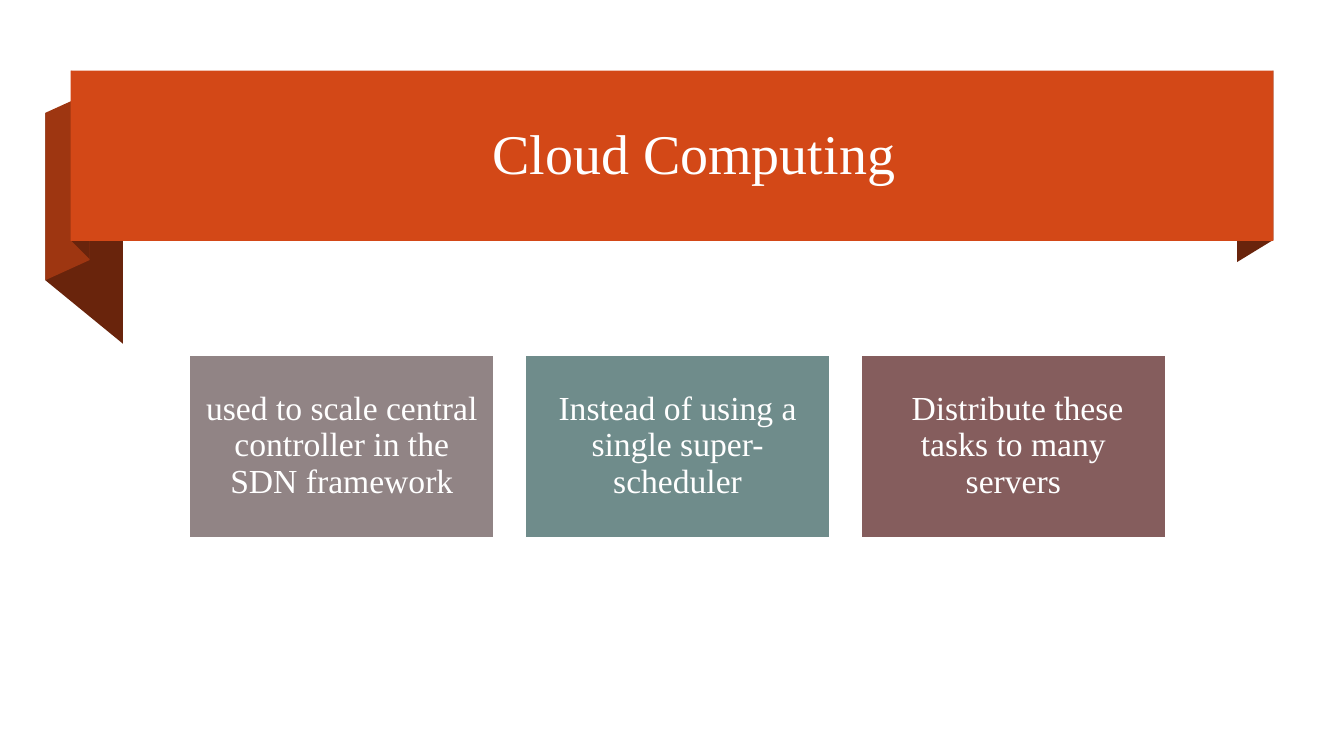
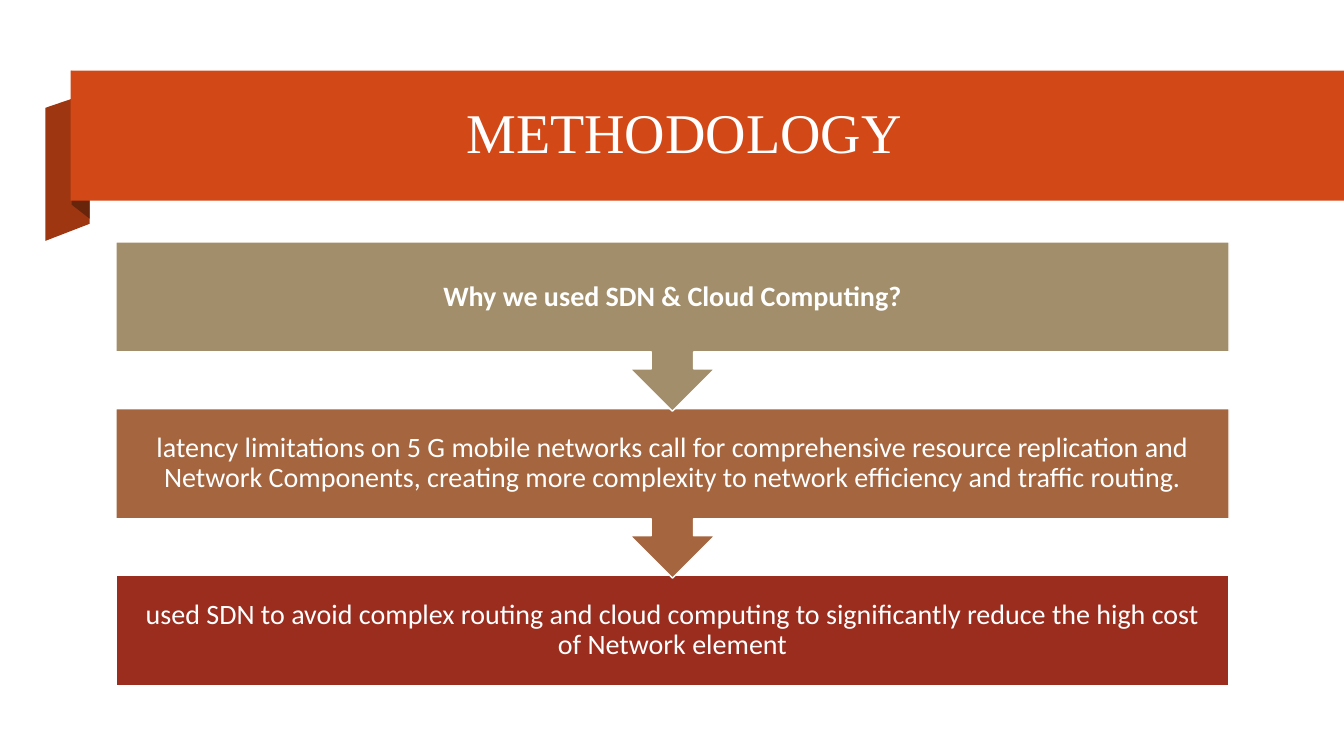
import pptx
import pptx.util
import pptx.dml.color
import pptx.enum.shapes
import pptx.enum.text

Inches = pptx.util.Inches
SHAPE = pptx.enum.shapes.MSO_SHAPE

WHITE = "FFFFFF"
BAND = "D34817"
FOLD_MID = "9E3611"
FOLD_DARK = "69240C"
SERIF = "Times New Roman"
SANS = "Calibri"

RIBBON_LEFT = 0.7
RIBBON_TOP = 0.7

CLOUD_FOLDS = [
    (FOLD_DARK, [(12.63, 2.38), (12.27, 2.6), (12.27, 0.91), (12.63, 0.7)]),
    (FOLD_DARK, [(1.22, 3.41), (0.45, 2.78), (0.45, 1.12), (1.22, 1.75)]),
    (FOLD_MID, [(0.89, 2.58), (0.45, 2.78), (0.45, 1.12), (0.89, 0.92)]),
    (FOLD_DARK, [(0.89, 2.57), (0.71, 2.39), (0.71, 0.7), (0.89, 0.89)]),
]
METHOD_FOLDS = [
    (FOLD_MID, [(0.89, 2.22), (0.45, 2.39), (0.45, 1.07), (0.89, 0.92)]),
    (FOLD_DARK, [(0.89, 2.17), (0.71, 2.03), (0.71, 0.7), (0.89, 0.85)]),
]

CLOUD_CARDS = [
    ("918485", "used to scale central controller in the SDN framework"),
    ("6F8C8B", "Instead of using a single super-scheduler"),
    ("855D5D", " Distribute these tasks to many servers"),
]
METHOD_STEPS = [
    ("A28E6A", "Why we used SDN & Cloud Computing?"),
    ("A4653F", "latency limitations on 5 G mobile networks call for comprehensive "
               "resource replication and Network Components, creating more "
               "complexity to network efficiency and traffic routing."),
    ("9B2D1F", "used SDN to avoid complex routing and cloud computing to "
               "significantly reduce the high cost of Network element"),
]


def rgb(hex_color):
    return pptx.dml.color.RGBColor.from_string(hex_color)


def paint(shape, fill, outline=None):
    shape.shadow.inherit = False
    shape.fill.solid()
    shape.fill.fore_color.rgb = rgb(fill)
    if outline:
        shape.line.color.rgb = rgb(outline)
        shape.line.width = pptx.util.Pt(1)
    else:
        shape.line.fill.background()


def write(shape, text, font_name, size, inset=None, bold=False):
    frame = shape.text_frame
    frame.word_wrap = True
    frame.vertical_anchor = pptx.enum.text.MSO_ANCHOR.MIDDLE
    if inset is not None:
        frame.margin_left = frame.margin_right = Inches(inset)
        frame.margin_top = frame.margin_bottom = Inches(inset)
    frame.text = text
    paragraph = frame.paragraphs[0]
    paragraph.alignment = pptx.enum.text.PP_ALIGN.CENTER
    paragraph.line_spacing = 0.9
    font = paragraph.runs[0].font
    font.name = font_name
    font.size = pptx.util.Pt(size)
    font.bold = bold
    font.color.rgb = rgb(WHITE)


def add_block(slide, kind, box, fill, outline=None):
    block = slide.shapes.add_shape(kind, *map(Inches, box))
    paint(block, fill, outline)
    return block


def add_fold(slide, fill, corners):
    start, *others = [(Inches(x), Inches(y)) for x, y in corners]
    outline = slide.shapes.build_freeform(*start)
    outline.add_line_segments(others, close=True)
    paint(outline.convert_to_shape(), fill)


def add_title_ribbon(slide, title, title_box, folds, width, height):
    for fill, corners in folds:
        add_fold(slide, fill, corners)
    add_block(slide, SHAPE.RECTANGLE,
              (RIBBON_LEFT, RIBBON_TOP, width, height), BAND)
    heading = slide.shapes.add_textbox(*map(Inches, title_box))
    write(heading, title, SERIF, 40)


def add_card_row(slide, cards):
    left, top, width, height, gap = 1.88, 3.52, 3.02, 1.81, 0.31
    for index, (fill, text) in enumerate(cards):
        box = (left + index * (width + gap), top, width, height)
        card = add_block(slide, SHAPE.RECTANGLE, box, fill, WHITE)
        write(card, text, SERIF, 24, inset=0.1)


def add_step_flow(slide, steps):
    left, width, first_top, last_top = 1.15, 11.04, 2.4, 5.71
    callout_height, final_height = 1.68, 1.09
    last = len(steps) - 1
    pitch = (last_top - first_top) / last
    for index, (fill, text) in reversed(list(enumerate(steps))):
        if index == last:
            kind, height = SHAPE.RECTANGLE, final_height
        else:
            kind, height = SHAPE.DOWN_ARROW_CALLOUT, callout_height
        box = (left, first_top + index * pitch, width, height)
        step = add_block(slide, kind, box, fill, WHITE)
        write(step, text, SANS, 20, inset=0.16, bold=index == 0)


def main():
    deck = pptx.Presentation()
    deck.slide_width = Inches(13.33)
    deck.slide_height = Inches(7.5)
    blank = deck.slide_layouts[6]

    cloud = deck.slides.add_slide(blank)
    add_title_ribbon(cloud, "Cloud Computing ", (1.48, 0.83, 10.94, 1.45),
                     CLOUD_FOLDS, 11.93, 1.69)
    add_card_row(cloud, CLOUD_CARDS)

    methodology = deck.slides.add_slide(blank)
    add_title_ribbon(methodology, "METHODOLOGY", (1.15, 0.86, 11.27, 0.96),
                     METHOD_FOLDS, 12.63, 1.29)
    add_step_flow(methodology, METHOD_STEPS)

    deck.save("out.pptx")


if __name__ == "__main__":
    main()
